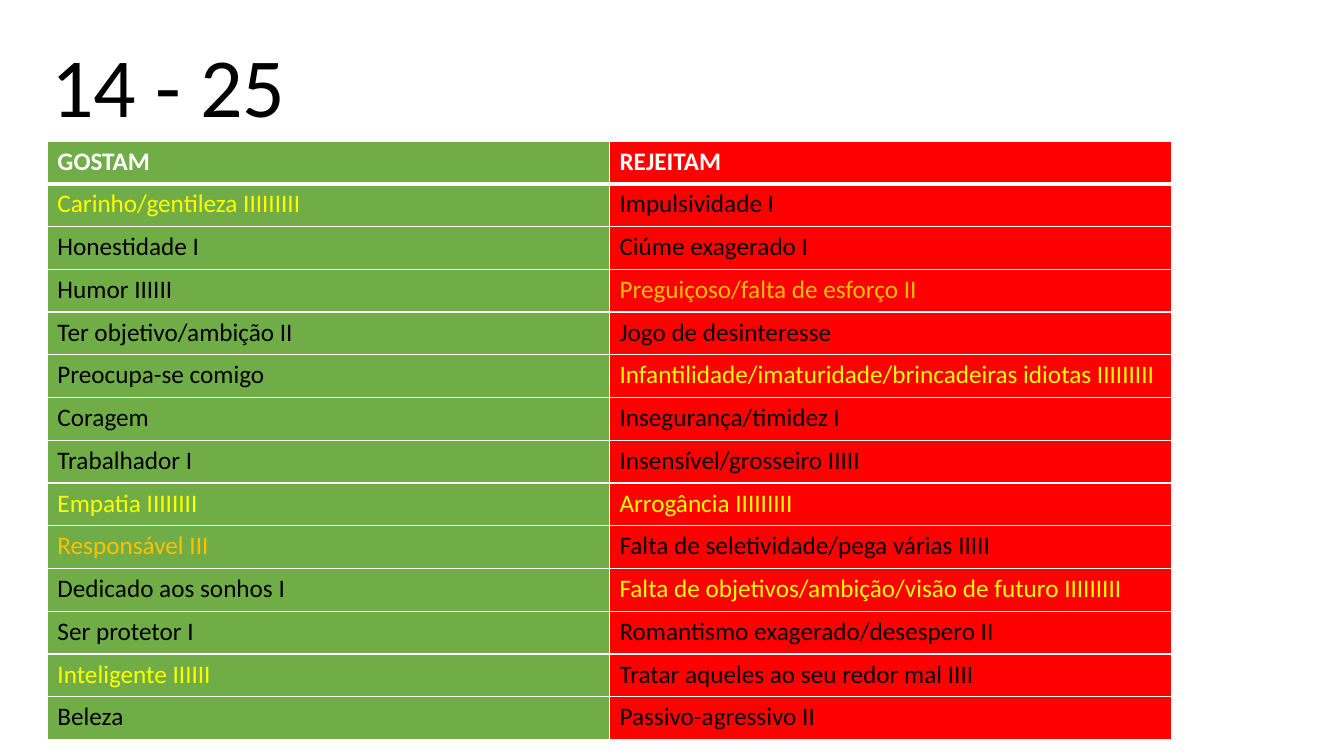
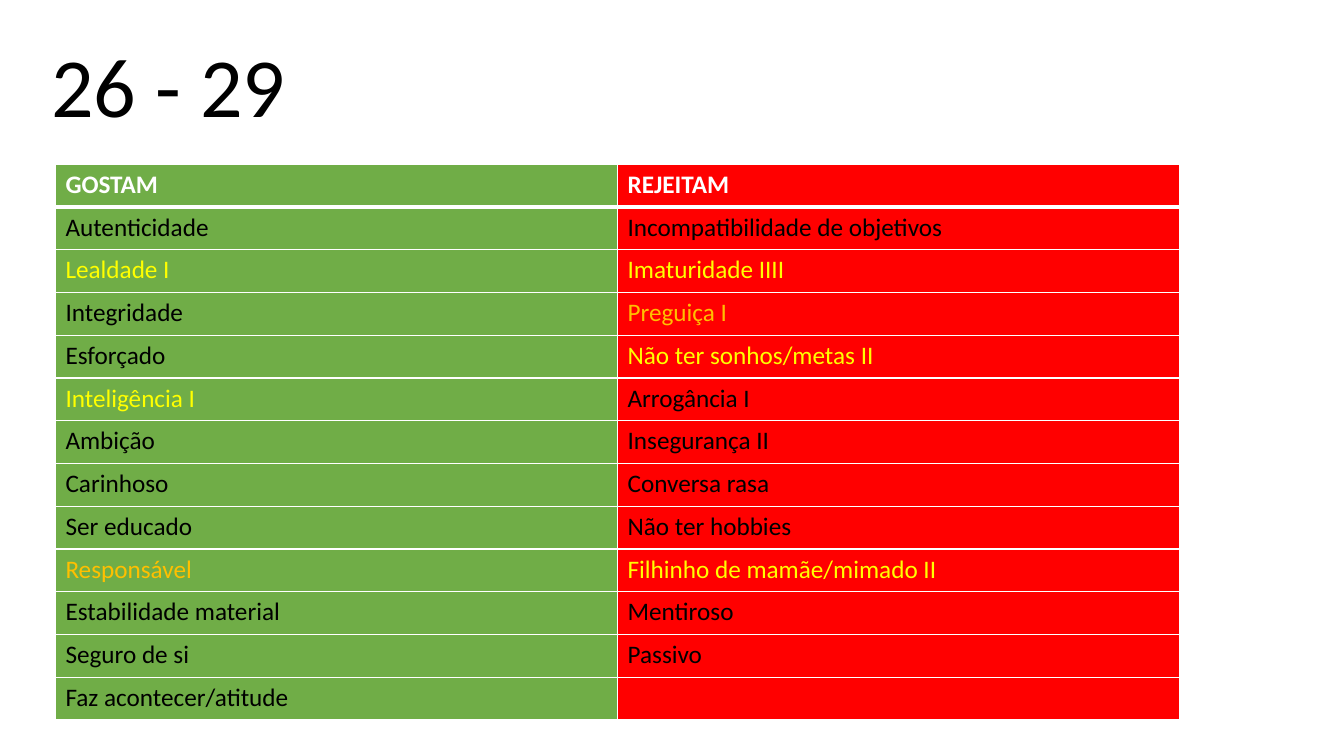
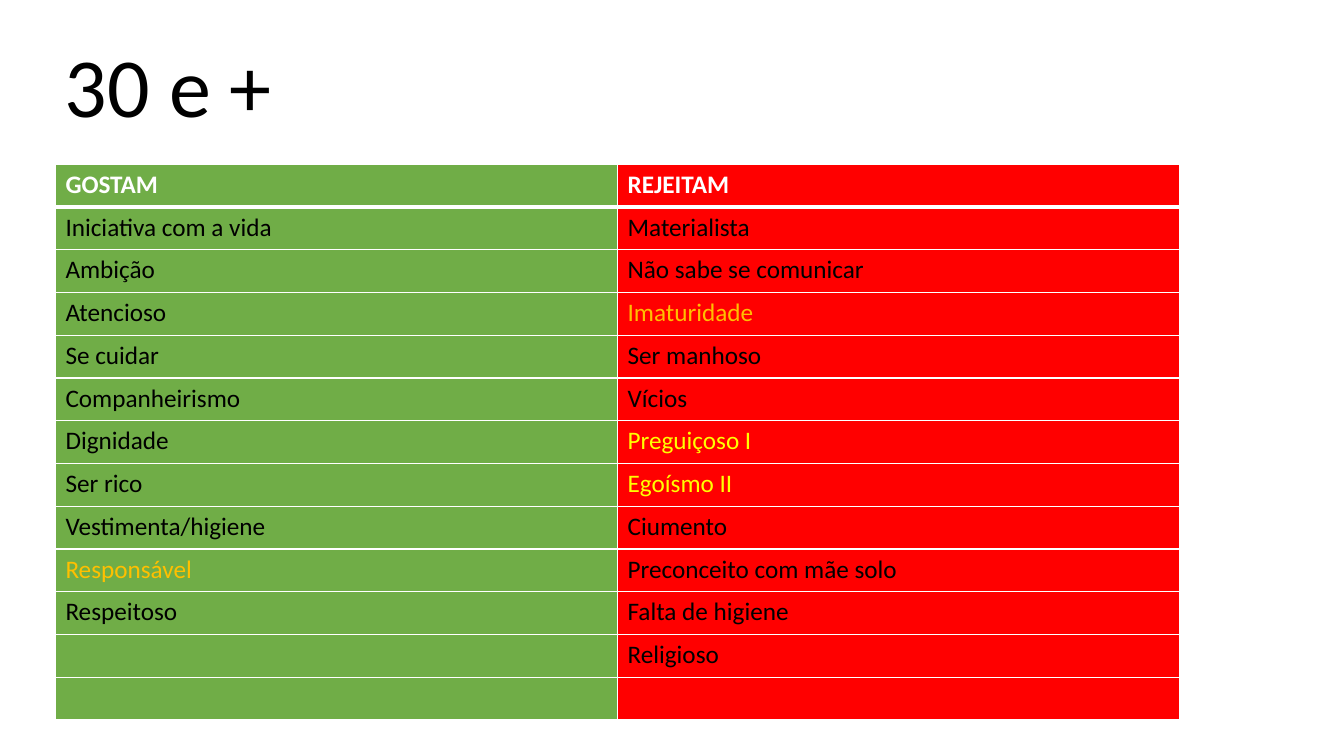
from dataclasses import dataclass
from itertools import zip_longest

from lxml import etree
from pptx import Presentation
from pptx.dml.color import RGBColor
from pptx.enum.text import MSO_ANCHOR, MSO_AUTO_SIZE, PP_ALIGN
from pptx.oxml.ns import qn
from pptx.util import Inches, Pt

BOTTOM = MSO_ANCHOR.BOTTOM
NO_AUTOFIT = MSO_AUTO_SIZE.NONE
CENTER = PP_ALIGN.CENTER
TITLE_ONLY = 5


@dataclass(frozen=True)
class Theme:
    font: str = "Calibri"
    title_size: int = 60
    cell_size: int = 18
    black: str = "000000"
    white: str = "FFFFFF"
    liked: str = "70AD47"
    rejected: str = "FF0000"
    yellow: str = "FFFF00"
    orange: str = "FFC000"
    thin: int = 1
    thick: int = 3


THEME = Theme()
HEADINGS = ("GOSTAM", "REJEITAM")
TABLE_WIDTH = 11.15
ROW_HEIGHT = 5.94 / 14


def top(trait):
    """Trait named most often."""
    return trait, THEME.yellow


def shared(trait):
    """Trait that recurs across the age groups."""
    return trait, THEME.orange


# Each age group: title, table corner, liked traits, rejected traits
AGE_GROUPS = [
    ("14 - 25", (0.47, 1.4),
     [top("Carinho/gentileza IIIIIIIII"), "Honestidade I", "Humor IIIIII",
      "Ter objetivo/ambição II", "Preocupa-se comigo", "Coragem",
      "Trabalhador I", top("Empatia IIIIIIII"), shared("Responsável III"),
      "Dedicado aos sonhos I", "Ser protetor I", top("Inteligente IIIIII"),
      "Beleza"],
     ["Impulsividade I", "Ciúme exagerado I",
      shared("Preguiçoso/falta de esforço II"), "Jogo de desinteresse",
      top("Infantilidade/imaturidade/brincadeiras idiotas IIIIIIIII"),
      "Insegurança/timidez I", "Insensível/grosseiro IIIII",
      top("Arrogância IIIIIIIII"), "Falta de seletividade/pega várias IIIII",
      top("Falta de objetivos/ambição/visão de futuro IIIIIIIII"),
      "Romantismo exagerado/desespero II",
      "Tratar aqueles ao seu redor mal IIII", "Passivo-agressivo II"]),
    ("26 - 29", (0.55, 1.63),
     ["Autenticidade", top("Lealdade I"), "Integridade", "Esforçado",
      top("Inteligência I"), "Ambição", "Carinhoso", "Ser educado",
      shared("Responsável"), "Estabilidade material", "Seguro de si",
      "Faz acontecer/atitude"],
     ["Incompatibilidade de objetivos", top("Imaturidade IIII"),
      shared("Preguiça I"), top("Não ter sonhos/metas II"), "Arrogância I",
      "Insegurança II", "Conversa rasa", "Não ter hobbies",
      top("Filhinho de mamãe/mimado II"), "Mentiroso", "Passivo", ""]),
    ("30 e +", (0.55, 1.63),
     ["Iniciativa com a vida", "Ambição", "Atencioso", "Se cuidar",
      "Companheirismo", "Dignidade", "Ser rico", "Vestimenta/higiene",
      shared("Responsável"), "Respeitoso", "", ""],
     ["Materialista", "Não sabe se comunicar", shared("Imaturidade"),
      "Ser manhoso", "Vícios", top("Preguiçoso I"), top("Egoísmo II"),
      "Ciumento", "Preconceito com mãe solo", "Falta de higiene",
      "Religioso", ""]),
]


class Deck:
    def __init__(self, theme):
        self.theme = theme
        self.prs = Presentation()
        self.prs.slide_width = Inches(13.33)
        self.prs.slide_height = Inches(7.5)
        self.slide = None

    def new_slide(self):
        layout = self.prs.slide_layouts[TITLE_ONLY]
        self.slide = self.prs.slides.add_slide(layout)

    def add_run(self, paragraph, text, size, color, bold=False):
        run = paragraph.add_run()
        run.text = text
        run.font.name = self.theme.font
        run.font.size = Pt(size)
        run.font.bold = bold
        run.font.color.rgb = RGBColor.from_string(color)

    def title(self, age_range):
        title = self.slide.shapes.title
        title.left, title.top = Inches(-3.33), Inches(-1.21)
        title.width, title.height = Inches(10), Inches(2.61)
        frame = title.text_frame
        frame.auto_size = NO_AUTOFIT
        frame.vertical_anchor = BOTTOM
        paragraph = frame.paragraphs[0]
        paragraph.alignment = CENTER
        paragraph.line_spacing = 0.9
        self.add_run(paragraph, age_range, self.theme.title_size,
                     self.theme.black)

    def borders(self, cell, above, below):
        """Draw the cell's four sides; must come before its fill."""
        properties = cell._tc.get_or_add_tcPr()
        thin = self.theme.thin
        for side, width in (("L", thin), ("R", thin), ("T", above), ("B", below)):
            line = etree.SubElement(properties, qn(f"a:ln{side}"), w=str(Pt(width)))
            fill = etree.SubElement(line, qn("a:solidFill"))
            etree.SubElement(fill, qn("a:srgbClr"), val=self.theme.white)

    def trait_table(self, corner, liked, rejected):
        theme = self.theme
        rows = [HEADINGS, *zip_longest(liked, rejected, fillvalue="")]
        left, upper = corner
        table = self.slide.shapes.add_table(
            len(rows), len(HEADINGS), Inches(left), Inches(upper),
            Inches(TABLE_WIDTH), Inches(ROW_HEIGHT * len(rows))).table
        table.horz_banding = False
        for row, traits in enumerate(rows):
            is_heading = row == 0
            above = theme.thick if row == 1 else theme.thin
            below = theme.thick if is_heading else theme.thin
            plain = theme.white if is_heading else theme.black
            for column, trait in enumerate(traits):
                text, color = (trait, plain) if isinstance(trait, str) else trait
                cell = table.cell(row, column)
                self.borders(cell, above, below)
                cell.fill.solid()
                cell.fill.fore_color.rgb = RGBColor.from_string(
                    (theme.liked, theme.rejected)[column])
                if text:
                    self.add_run(cell.text_frame.paragraphs[0], text,
                                 theme.cell_size, color, is_heading)


def main():
    deck = Deck(THEME)
    for age_range, corner, liked, rejected in AGE_GROUPS:
        deck.new_slide()
        deck.title(age_range)
        deck.trait_table(corner, liked, rejected)
    deck.prs.save("out.pptx")


if __name__ == "__main__":
    main()
